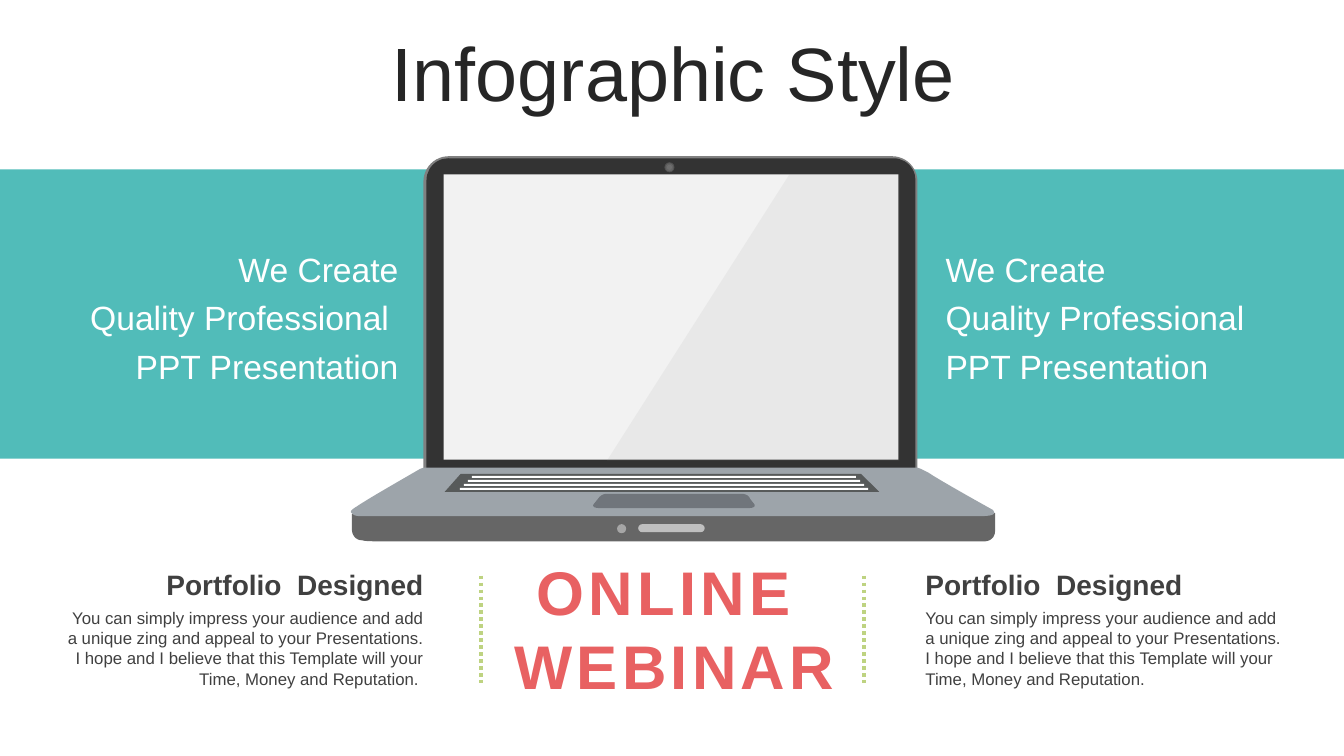
from lxml.etree import SubElement as Sub
from pptx import Presentation
from pptx.dml.color import RGBColor as Rgb
from pptx.enum.dml import MSO_LINE as Dash
from pptx.enum.shapes import MSO_CONNECTOR as Link, MSO_SHAPE as Kind
from pptx.enum.text import MSO_ANCHOR as Anchor, PP_ALIGN as Align
from pptx.oxml.ns import qn
from pptx.util import Inches, Pt


def tint(code):
    return Rgb.from_string(code)


def trace(start, steps):
    spots = [start]
    for step in steps:
        if len(step) == 2:
            spots.append(step)
            continue
        nodes = [spots[-1], step[:2], step[2:4], step[4:]]
        for i in range(1, 9):
            t = i / 8
            parts = ((1 - t) ** 3, 3 * t * (1 - t) ** 2, 3 * t * t * (1 - t), t ** 3)
            spots.append(tuple(sum(w * n[axis] for w, n in zip(parts, nodes))
                               for axis in (0, 1)))
    return [(Inches(x), Inches(y)) for x, y in spots]


class Board:
    """Draws styled elements on the current slide."""

    font = "Arial"
    teal, coral, lime = "51BCB9", "E86162", "BED381"
    white, dark, gray = "FFFFFF", "262626", "404040"

    def __init__(self, deck):
        self.slide = deck.slides.add_slide(deck.slide_layouts[6])
        self.shapes = self.slide.shapes

    def paint(self, shape, fill, alpha=None):
        shape.shadow.inherit = False
        shape.line.fill.background()
        shape.fill.solid()
        shape.fill.fore_color.rgb = tint(fill)
        if alpha:
            hue = shape._element.spPr.find(".//" + qn("a:srgbClr"))
            Sub(hue, qn("a:alpha")).set("val", str(alpha * 1000))

    def block(self, x, y, w, h, fill, kind=Kind.RECTANGLE, alpha=None, bend=()):
        shape = self.shapes.add_shape(kind, Inches(x), Inches(y), Inches(w), Inches(h))
        for i, value in enumerate(bend):
            shape.adjustments[i] = value
        self.paint(shape, fill, alpha)

    def outline(self, start, steps, fill, alpha=None):
        first, *rest = trace(start, steps)
        form = self.shapes.build_freeform(*first, scale=1.0)
        form.add_line_segments(rest, close=True)
        self.paint(form.convert_to_shape(), fill, alpha)

    def rule(self, x, top, end):
        line = self.shapes.add_connector(Link.STRAIGHT, Inches(x), Inches(top),
                                         Inches(x), Inches(end))
        line.line.color.rgb = tint(self.lime)
        line.line.width = Pt(2.5)
        line.line.dash_style = Dash.ROUND_DOT
        Sub(line._element.spPr, qn("a:effectLst"))

    def text(self, x, y, w, h, words, size, color, align, anchor=Anchor.TOP,
             bold=False, pitch=None, gap=None, track=None):
        box = self.shapes.add_textbox(Inches(x), Inches(y), Inches(w), Inches(h))
        frame = box.text_frame
        frame.word_wrap = True
        frame.vertical_anchor = anchor
        frame.text = words
        for i, para in enumerate(frame.paragraphs):
            para.alignment = align
            if pitch:
                para.line_spacing = pitch
            if gap and i:
                para.space_before = gap
            for run in para.runs:
                run.font.name = self.font
                run.font.size = Pt(size)
                run.font.bold = bold
                run.font.color.rgb = tint(color)
                if track:
                    run._r.get_or_add_rPr().set("spc", str(track * 100))


def draw_laptop(board):
    top = Kind.ROUND_2_SAME_RECTANGLE
    board.block(4.2, 1.55, 4.9, 3.14, "808080", top, bend=(0.08, 0))
    board.block(4.23, 1.57, 4.85, 3.11, "333333", top, bend=(0.07, 0))
    board.block(4.4, 1.73, 4.51, 2.83, "F2F2F2")
    board.outline((3.49, 5.1), [
        (9.87, 5.09), (9.87, 5.26), (9.87, 5.37, 9.77, 5.37, 9.77, 5.37),
        (3.75, 5.37), (3.68, 5.37, 3.63, 5.37, 3.59, 5.36),
        (3.53, 5.36, 3.49, 5.31, 3.49, 5.25)], "666666")
    board.outline((9.74, 5.12), [
        (3.56, 5.12), (3.56, 5.12, 3.51, 5.12, 3.49, 5.09),
        (3.47, 5.08, 3.48, 5.06, 3.53, 5.03),
        (3.63, 4.96, 4.05, 4.72, 4.17, 4.65), (4.2, 4.64), (9.1, 4.64),
        (9.13, 4.65), (9.21, 4.69), (9.31, 4.76, 9.85, 5.06, 9.85, 5.06),
        (9.86, 5.08), (9.87, 5.09, 9.86, 5.12, 9.74, 5.12)], "9DA4AA")
    board.outline((6.01, 4.9), [
        (5.98, 4.9, 5.95, 4.92, 5.93, 4.95), (5.89, 5),
        (5.89, 5, 5.84, 5.05, 6, 5.04), (7.38, 5.04),
        (7.52, 5.05, 7.48, 5, 7.48, 5), (7.44, 4.95),
        (7.43, 4.92, 7.4, 4.9, 7.36, 4.9)], "70757B")
    board.outline((8.72, 4.88), [(4.41, 4.88), (4.57, 4.7), (8.54, 4.7)], "575A5A")
    board.outline((7.83, 1.73), [(8.92, 1.73), (8.92, 4.57), (6.02, 4.57)], "999999", 10)
    for i in range(4):
        inset = 0.04 * i
        board.block(4.68 - inset, 4.72 + inset, 3.81 + 2 * inset, 0.02, board.white)
    for size in (0.1, 0.08, 0.05):
        board.block(6.64 - size / 2, 1.66 - size / 2, size, size, "808080", Kind.OVAL, 40)
    board.block(6.33, 5.2, 0.66, 0.08, "BFBFBF", Kind.ROUNDED_RECTANGLE, bend=(0.5,))
    board.block(6.12, 5.2, 0.09, 0.09, "A6A6A6", Kind.OVAL)


def draw_side(board, claim, note, align, tail):
    board.text(claim, 2.4, 3.87, 1.48,
               f"We Create\nQuality Professional{tail}\nPPT Presentation",
               24, board.white, align, Anchor.MIDDLE, pitch=Pt(30), gap=Pt(4.8))
    board.text(note, 5.58, 3.78, 0.4, "Portfolio  Designed", 20, board.gray, align,
               Anchor.MIDDLE, bold=True, pitch=1.1)
    board.text(note, 5.98, 3.78, 0.92,
               "You can simply impress your audience and add a unique zing and appeal "
               "to your Presentations. I hope and I believe that this Template will "
               f"your Time, Money and Reputation.{tail}", 12, board.gray, align)


def main():
    deck = Presentation()
    deck.slide_width, deck.slide_height = Inches(13.33), Inches(7.5)
    board = Board(deck)
    board.block(0, 1.68, 13.33, 2.87, board.teal)
    draw_laptop(board)
    board.text(0.35, 0.37, 12.66, 0.79, "Infographic Style", 54, board.dark,
               Align.CENTER, Anchor.MIDDLE, pitch=0.9)
    board.text(4.91, 5.45, 3.56, 1.58, "ONLINE \nWEBINAR", 44, board.coral,
               Align.CENTER, bold=True, track=3)
    for x in (4.77, 8.57):
        board.rule(x, 5.71, 6.78)
    draw_side(board, 0.18, 0.52, Align.RIGHT, " ")
    draw_side(board, 9.28, 9.08, Align.LEFT, "")
    deck.save("out.pptx")


if __name__ == "__main__":
    main()
